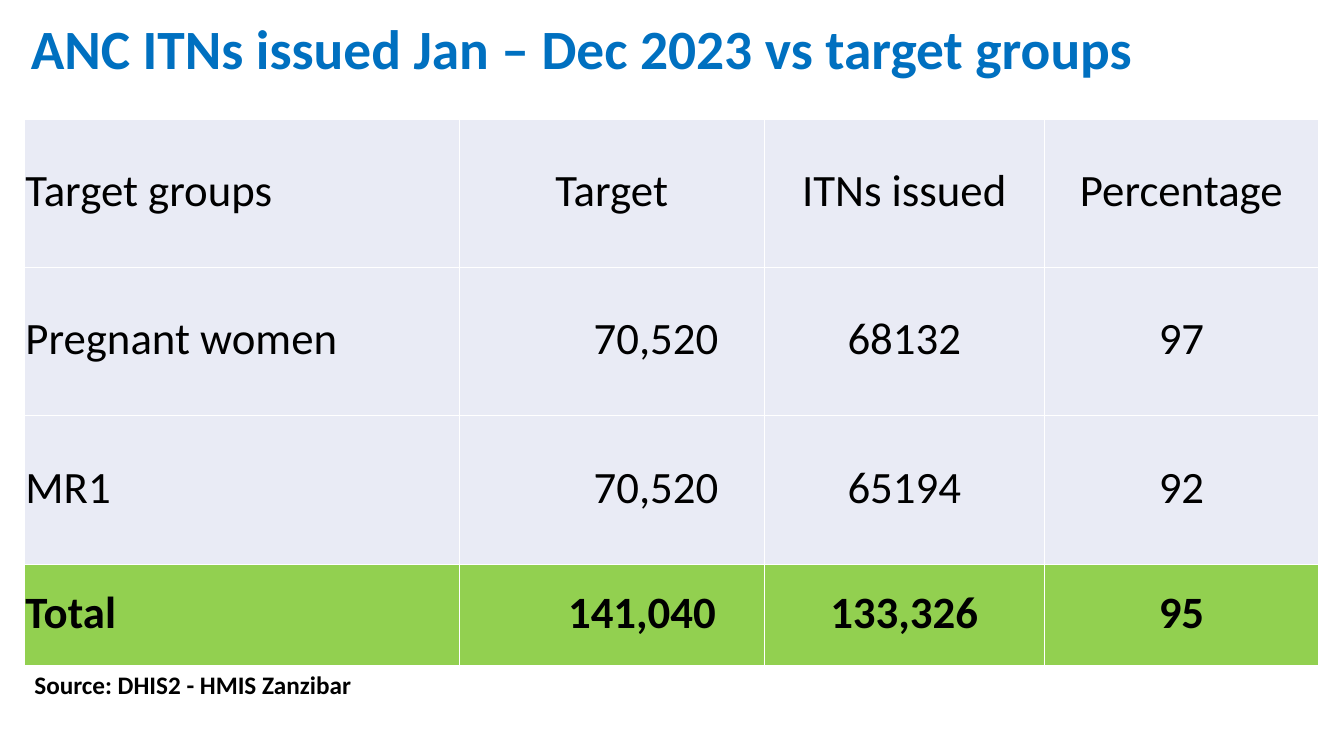
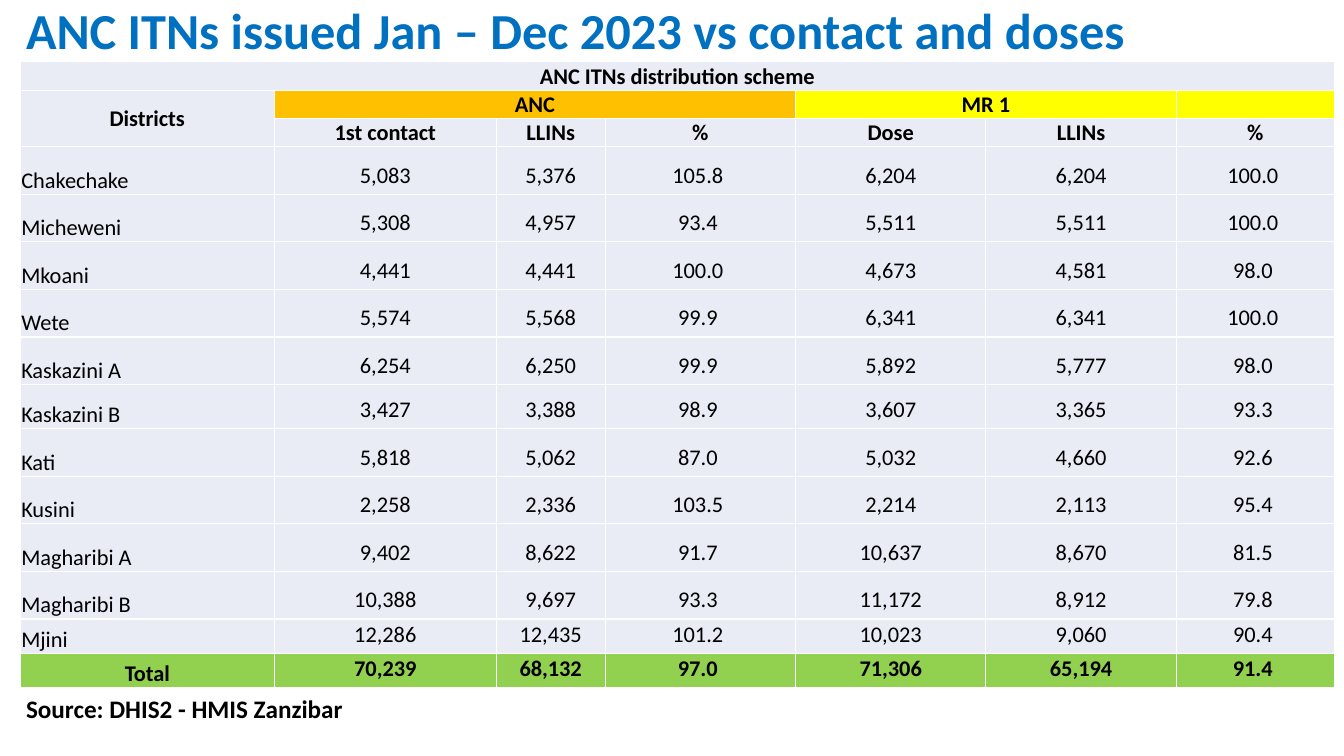
from lxml.etree import SubElement as Sub
from pptx import Presentation
from pptx.dml.color import RGBColor as RGB
from pptx.enum.text import MSO_ANCHOR as Anchor, PP_ALIGN as Align
from pptx.oxml import parse_xml
from pptx.oxml.ns import nsdecls, qn
from pptx.util import Pt

BLUE = RGB(0x00, 0x70, 0xC0)
BLACK = RGB(0x00, 0x00, 0x00)
WHITE = RGB(0xFF, 0xFF, 0xFF)
PALE = RGB(0xE9, 0xEB, 0xF5)
GREEN = RGB(0x92, 0xD0, 0x50)
AMBER = RGB(0xFF, 0xC0, 0x00)
YELLOW = RGB(0xFF, 0xFF, 0x00)
PAD = 3.6

GROUPS = [
    ("Target groups", "Target", "ITNs issued", "Percentage"),
    ("Pregnant women", "70,520", "68132", "97"),
    ("MR1", "70,520", "65194", "92"),
    ("Total", "141,040", "133,326", "95"),
]

HEADS = [
    ("ANC ITNs distribution scheme", "", "", "", "", "", ""),
    ("Districts", "ANC", "", "", "MR 1", "", ""),
    ("", "1st contact", "LLINs", "%", "Dose", "LLINs", "%"),
]
TALLY = [
    ("Chakechake", "5,083", "5,376", "105.8", "6,204", "6,204", "100.0"),
    ("Micheweni", "5,308", "4,957", "93.4", "5,511", "5,511", "100.0"),
    ("Mkoani", "4,441", "4,441", "100.0", "4,673", "4,581", "98.0"),
    ("Wete", "5,574", "5,568", "99.9", "6,341", "6,341", "100.0"),
    ("Kaskazini A", "6,254", "6,250", "99.9", "5,892", "5,777", "98.0"),
    ("Kaskazini B", "3,427", "3,388", "98.9", "3,607", "3,365", "93.3"),
    ("Kati", "5,818", "5,062", "87.0", "5,032", "4,660", "92.6"),
    ("Kusini", "2,258", "2,336", "103.5", "2,214", "2,113", "95.4"),
    ("Magharibi A", "9,402", "8,622", "91.7", "10,637", "8,670", "81.5"),
    ("Magharibi B", "10,388", "9,697", "93.3", "11,172", "8,912", "79.8"),
    ("Mjini", "12,286", "12,435", "101.2", "10,023", "9,060", "90.4"),
    ("Total", "70,239", "68,132", "97.0", "71,306", "65,194", "91.4"),
]


class Deck:
    """Holds the shared style and the current slide."""

    def __init__(self):
        self.prs = Presentation()
        self.prs.slide_width, self.prs.slide_height = Pt(960), Pt(540)
        self.slide = None

    def page(self):
        self.slide = self.prs.slides.add_slide(self.prs.slide_layouts[6])
        back = self.slide.background.fill
        back.solid()
        back.fore_color.rgb = WHITE

    def run(self, para, text, size, bold=True, color=BLACK):
        run = para.add_run()
        run.text = text
        font = run.font
        font.name, font.size, font.bold = "Calibri", Pt(size), bold
        font.color.rgb = color

    def box(self, text, left, top, width, height, size, color, anchor):
        frame = self.slide.shapes.add_textbox(
            Pt(left), Pt(top), Pt(width), Pt(height)).text_frame
        frame.word_wrap = True
        frame.vertical_anchor = anchor
        self.run(frame.paragraphs[0], text, size, True, color)
        return frame.paragraphs[0]

    def title(self, text, left, top, width, height, size):
        para = self.box(text, left, top, width, height, size, BLUE, Anchor.MIDDLE)
        para.line_spacing = 0.9

    def source(self, left, top):
        self.box("Source: DHIS2 - HMIS Zanzibar", left, top, 320, 32, 18,
                 BLACK, Anchor.TOP)

    def grid(self, left, top, cols, rows):
        table = self.slide.shapes.add_table(
            len(rows), len(cols), Pt(left), Pt(top), Pt(sum(cols)), Pt(sum(rows))).table
        table.first_row = table.horz_banding = False
        for col, width in zip(table.columns, cols):
            col.width = Pt(width)
        for row, height in zip(table.rows, rows):
            row.height = Pt(height)
        return table

    def cell(self, cell, text, size, fill=PALE, bold=False, align=Align.CENTER,
             anchor=Anchor.BOTTOM, left=0.7, right=0.7, base=PAD):
        cell.margin_left, cell.margin_right = Pt(left), Pt(right)
        cell.margin_top, cell.margin_bottom = Pt(0.7), Pt(base)
        cell.vertical_anchor = anchor
        cell.fill.solid()
        cell.fill.fore_color.rgb = fill
        para = cell.text_frame.paragraphs[0]
        para.alignment = align
        if text:
            self.run(para, text, size, bold)
        else:
            Sub(para._p, qn("a:endParaRPr"), sz=str(size * 100))
        self.edge(cell)

    def edge(self, cell):
        props = cell._tc.get_or_add_tcPr()
        for spot, side in enumerate("LRTB"):
            props.insert(spot, parse_xml(
                f'<a:ln{side} {nsdecls("a")} w="{Pt(1)}"><a:solidFill>'
                f'<a:srgbClr val="{WHITE}"/></a:solidFill></a:ln{side}>'))


def groups(deck):
    deck.page()
    deck.title("ANC ITNs issued Jan – Dec 2023 vs target groups", 15, 0, 891, 74, 39.6)
    table = deck.grid(17.5, 85, [310.5, 218, 200, 196], [106, 106, 106, 72.4])
    shift = {1: 64, 2: 64, 3: 44}
    for r, row in enumerate(GROUPS):
        total = r == len(GROUPS) - 1
        for c, text in enumerate(row):
            deck.cell(table.cell(r, c), text, 32, GREEN if total else PALE, total,
                      Align.CENTER if c else Align.LEFT, Anchor.MIDDLE,
                      left=shift.get(r, 0.7) if c == 1 else 0.7)
    deck.source(17.5, 474.5)


def doses(deck):
    deck.page()
    deck.title("ANC ITNs issued Jan – Dec 2023 vs contact and doses",
               11.5, -5, 882, 58, 36)
    table = deck.grid(14.5, 44.2, [181.5, 158.5, 77.8, 136, 136, 136, 113],
                      [20.2] * 3 + [34] * 5 + [31.5] + [34] * 4 + [24.6] * 2)
    bands = [PALE] + [AMBER] * 3 + [YELLOW] * 3
    for r, row in enumerate(HEADS):
        for c, text in enumerate(row):
            deck.cell(table.cell(r, c), text, 16, bands[c] if r == 1 else PALE, True,
                      anchor=Anchor.MIDDLE if text == "Districts" else Anchor.BOTTOM,
                      base=0)
    for r, row in enumerate(TALLY, len(HEADS)):
        total = row[0] == "Total"
        for c, text in enumerate(row):
            deck.cell(table.cell(r, c), text, 16, GREEN if total else PALE, total,
                      Align.CENTER if c or total else Align.LEFT,
                      right=4.3 if c in (3, 6) else 0.7, base=PAD if c else 0)
    for r, c, end, last in [(0, 0, 0, 6), (1, 0, 2, 0), (1, 1, 1, 3), (1, 4, 1, 5)]:
        table.cell(r, c).merge(table.cell(end, last))
    deck.source(11.5, 491.5)


def main():
    deck = Deck()
    groups(deck)
    doses(deck)
    deck.prs.save("out.pptx")


if __name__ == "__main__":
    main()
